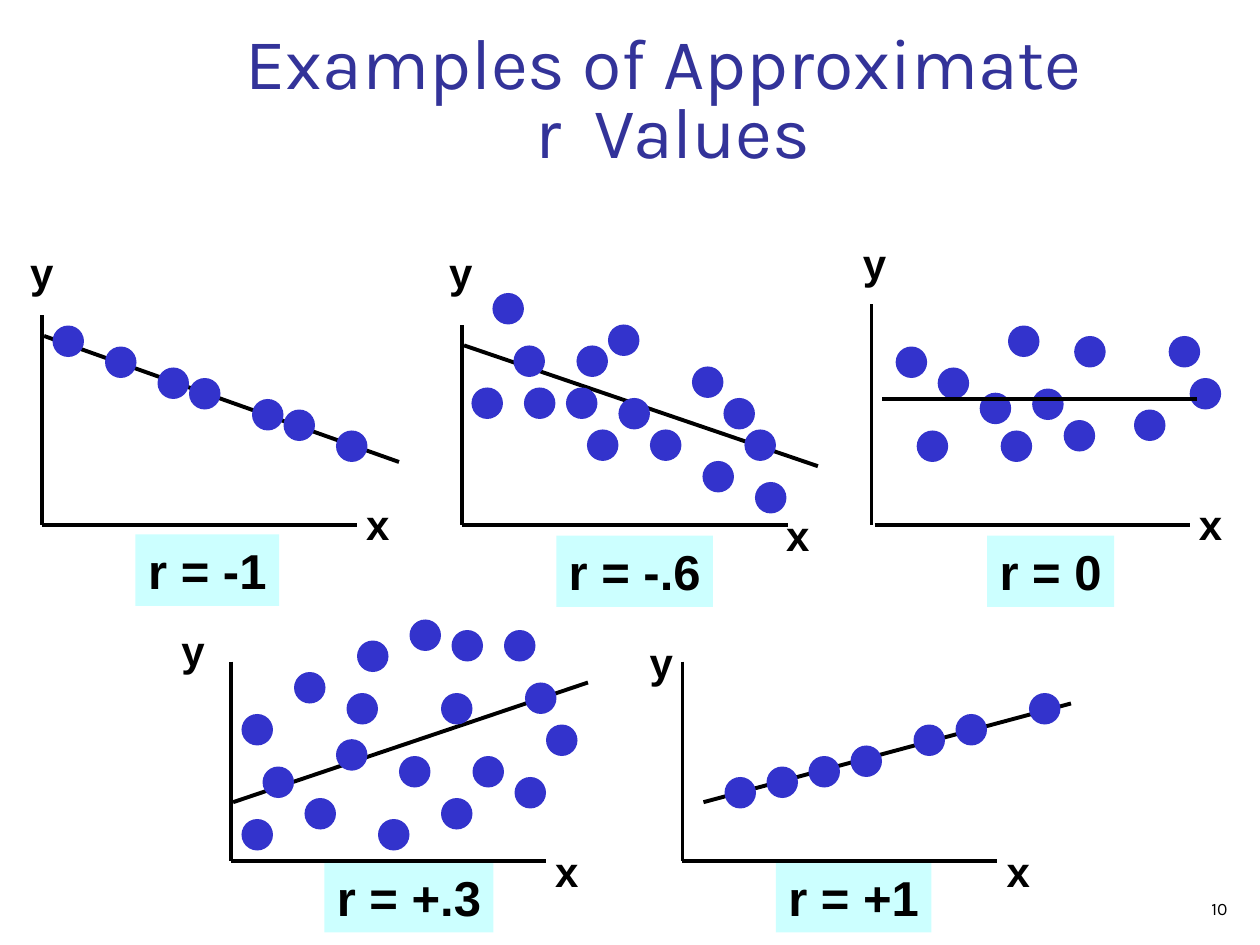
from dataclasses import dataclass

from lxml import etree
from pptx import Presentation
from pptx.dml.color import RGBColor
from pptx.enum.shapes import MSO_CONNECTOR, MSO_SHAPE
from pptx.enum.text import MSO_ANCHOR, MSO_AUTO_SIZE, PP_ALIGN
from pptx.oxml.ns import qn
from pptx.util import Pt

PX = 7620  # EMU per px, 120 px to the inch
WIDE, HIGH = 1200, 900
DOT = 30
AXIS_PT = 2
TAG_HIGH = 68

BLACK = RGBColor(0x00, 0x00, 0x00)
NAVY = RGBColor(0x33, 0x33, 0x99)
BLUE = RGBColor(0x33, 0x33, 0xCC)
CYAN = RGBColor(0xCC, 0xFF, 0xFF)

LINE = MSO_CONNECTOR.STRAIGHT
OVAL, RECT = MSO_SHAPE.OVAL, MSO_SHAPE.RECTANGLE
TOP, BASE = MSO_ANCHOR.TOP, MSO_ANCHOR.BOTTOM
LEFT, MID, RIGHT = PP_ALIGN.LEFT, PP_ALIGN.CENTER, PP_ALIGN.RIGHT
GROW = MSO_AUTO_SIZE.SHAPE_TO_FIT_TEXT


Point = tuple[int, int]


@dataclass(frozen=True)
class Style:
    font: str
    size: int
    color: RGBColor
    bold: bool = False
    align: PP_ALIGN = LEFT
    anchor: MSO_ANCHOR = TOP
    wrap: bool = False
    pad: int = 12
    pitch: float = 1.0


@dataclass(frozen=True)
class Trend:
    start: Point
    end: Point
    width: float = 2.25
    above: bool = False


@dataclass(frozen=True)
class Plot:
    """One scatter plot: axes, trend, corners of the dots and labels."""
    tag: str
    tag_at: Point
    tag_wide: int
    corner: Point
    y_top: int
    x_from: int
    x_to: int
    y_at: Point
    x_at: Point
    trend: Trend
    dots: tuple[Point, ...]


TITLE = Style("Karla", 41, NAVY, align=MID, anchor=BASE, wrap=True, pad=11, pitch=0.8)
PAGE = Style("Karla", 10, BLACK, align=RIGHT, anchor=BASE, wrap=True, pad=11)
TAG = Style("Arial", 28, BLACK, bold=True, align=MID, pad=4)
AXIS = Style("Arial", 24, BLACK, bold=True)

PLOTS = (
    Plot("r = -1", (129, 509), 137, (40, 500), 300, 40, 340, (17, 229), (337, 469),
         Trend((42, 320), (380, 440)),
         ((50, 310), (100, 330), (150, 350), (180, 360), (240, 380), (270, 390),
          (320, 410))),
    Plot("r = -.6", (530, 510), 149, (440, 500), 310, 440, 750, (416, 229), (737, 479),
         Trend((442, 329), (779, 444)),
         ((449, 369), (469, 279), (489, 329), (499, 369), (539, 369), (549, 329),
          (559, 409), (579, 309), (589, 379), (619, 409), (659, 349), (669, 439),
          (689, 379), (709, 409), (719, 459))),
    Plot("r = 0", (940, 510), 121, (830, 500), 290, 833, 1133, (810, 220), (1130, 469),
         Trend((840, 380), (1140, 380), AXIS_PT, True),
         ((853, 330), (873, 410), (893, 350), (933, 374), (953, 410), (960, 310),
          (983, 370), (1013, 400), (1023, 320), (1080, 390), (1113, 320),
          (1133, 360))),
    Plot("r = +.3", (309, 820), 161, (220, 820), 630, 220, 520, (161, 589), (517, 799),
         Trend((222, 764), (560, 650)),
         ((230, 680), (230, 780), (250, 730), (280, 640), (290, 760), (320, 704),
          (330, 660), (340, 610), (360, 780), (380, 720), (390, 590), (420, 660),
          (420, 760), (430, 600), (450, 720), (480, 600), (490, 740), (500, 650),
          (520, 690))),
    Plot("r = +1", (739, 820), 148, (650, 820), 630, 650, 950, (607, 600), (947, 799),
         Trend((670, 764), (1020, 670)),
         ((690, 740), (730, 730), (770, 720), (810, 710), (870, 690), (910, 680),
          (980, 660))),
)


def fill_text(shape, lines: tuple[str, ...], style: Style) -> None:
    frame = shape.text_frame
    frame.word_wrap = style.wrap
    frame.vertical_anchor = style.anchor
    frame.margin_left = frame.margin_right = style.pad * PX
    frame.margin_top = frame.margin_bottom = 6 * PX
    para = frame.paragraphs[0]
    para.alignment = style.align
    para.line_spacing = style.pitch
    for row, line in enumerate(lines):
        if row:
            para.add_line_break()
        run = para.add_run()
        run.text = line
        font = run.font
        font.name, font.size, font.bold = style.font, Pt(style.size), style.bold
        font.color.rgb = style.color


def add_text(slide, at: Point, size: Point, lines: tuple[str, ...], style: Style) -> None:
    box = slide.shapes.add_textbox(*(n * PX for n in at + size))
    fill_text(box, lines, style)
    if not style.wrap:
        box.text_frame.auto_size = GROW


def add_shape(slide, kind: MSO_SHAPE, at: Point, size: Point, color: RGBColor):
    shape = slide.shapes.add_shape(kind, *(n * PX for n in at + size))
    shape.shadow.inherit = False
    shape.fill.solid()
    shape.fill.fore_color.rgb = color
    shape.line.fill.background()
    return shape


def add_line(slide, start: Point, end: Point, width: float) -> None:
    line = slide.shapes.add_connector(LINE, *(n * PX for n in start + end))
    line.line.color.rgb = BLACK
    line.line.width = Pt(width)
    etree.SubElement(line._element.spPr, qn("a:effectLst"))


def add_trend(slide, trend: Trend) -> None:
    add_line(slide, trend.start, trend.end, trend.width)


def add_plot(slide, plot: Plot) -> None:
    tag = add_shape(slide, RECT, plot.tag_at, (plot.tag_wide, TAG_HIGH), CYAN)
    fill_text(tag, (plot.tag,), TAG)
    left, base = plot.corner
    add_line(slide, (left, plot.y_top), plot.corner, AXIS_PT)
    add_line(slide, (plot.x_from, base), (plot.x_to, base), AXIS_PT)
    if not plot.trend.above:
        add_trend(slide, plot.trend)
    for dot in plot.dots:
        add_shape(slide, OVAL, dot, (DOT, DOT), BLUE)
    if plot.trend.above:
        add_trend(slide, plot.trend)
    for name, at in (("y", plot.y_at), ("x", plot.x_at)):
        add_text(slide, at, (46, 60), (name,), AXIS)


def main() -> None:
    deck = Presentation()
    deck.slide_width, deck.slide_height = WIDE * PX, HIGH * PX
    slide = deck.slides.add_slide(deck.slide_layouts[6])
    add_text(slide, (130, 40), (1022, 130),
             ("Examples of Approximate ", "r  Values"), TITLE)
    for plot in PLOTS:
        add_plot(slide, plot)
    add_text(slide, (930, 840), (250, 41), ("10",), PAGE)
    deck.save("out.pptx")


if __name__ == "__main__":
    main()
